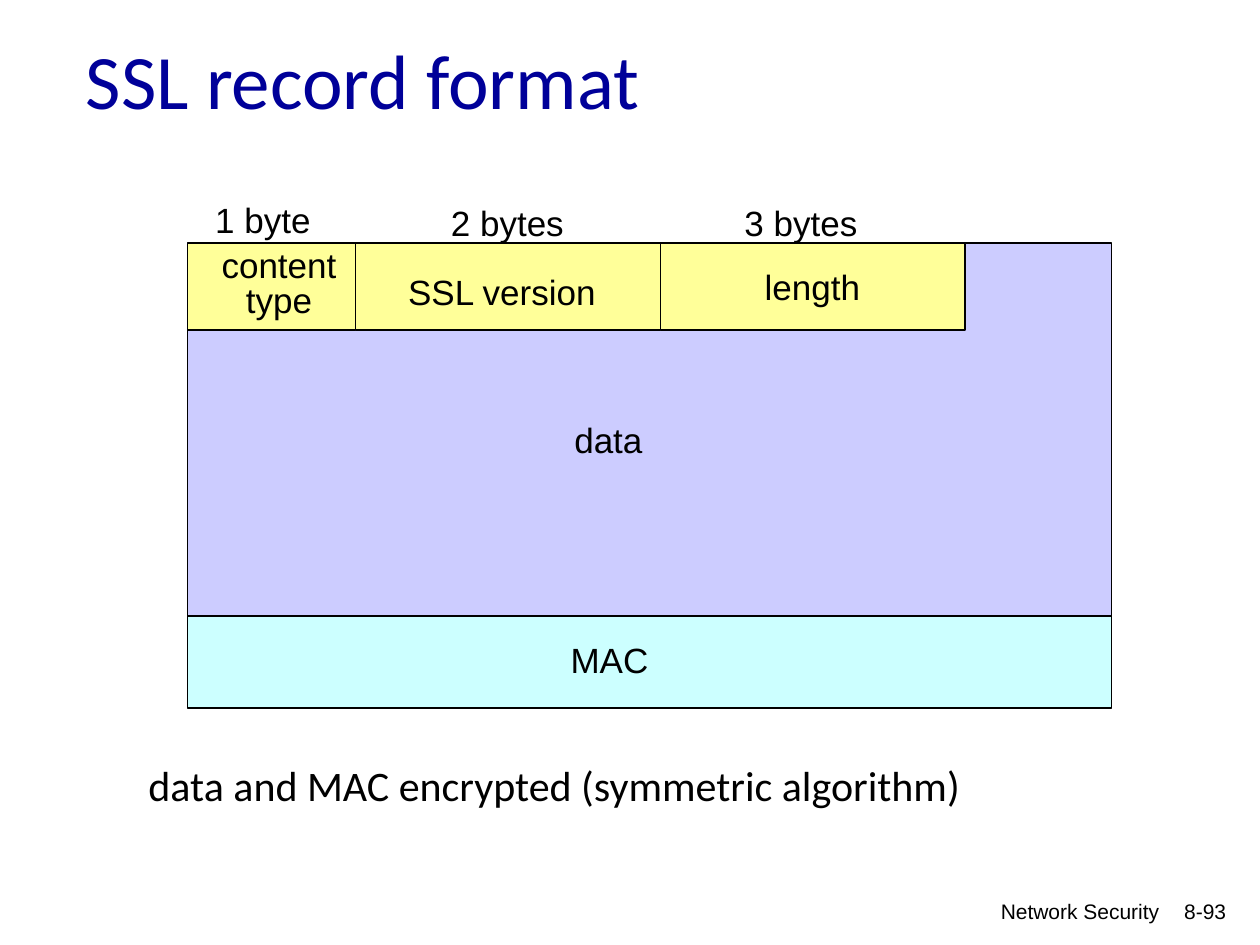
from dataclasses import dataclass

from pptx import Presentation
from pptx.dml.color import RGBColor
from pptx.enum.shapes import MSO_SHAPE
from pptx.enum.text import MSO_ANCHOR, MSO_AUTO_SIZE, PP_ALIGN
from pptx.util import Inches, Pt

RECT = MSO_SHAPE.RECTANGLE
MIDDLE = MSO_ANCHOR.MIDDLE
FIT_SHAPE = MSO_AUTO_SIZE.SHAPE_TO_FIT_TEXT
LEFT, CENTER, RIGHT = PP_ALIGN.LEFT, PP_ALIGN.CENTER, PP_ALIGN.RIGHT
TITLE_ONLY = 5


@dataclass(frozen=True)
class Theme:
    ink: str = "000000"
    title: str = "000099"
    header: str = "FFFF99"
    data: str = "CCCCFF"
    mac: str = "CCFFFF"
    heading_font: str = "Calibri"
    label_font: str = "Arial"
    title_size: int = 44
    note_size: int = 24
    label_size: int = 20
    footer_size: int = 12
    line_width: float = 0.75


def write_text(tf, text, *, font, size, color, align=LEFT, spacing=None):
    """Fill a text frame, one paragraph per line of text."""
    for i, line in enumerate(text.split("\n")):
        p = tf.paragraphs[0] if i == 0 else tf.add_paragraph()
        p.alignment = align
        if spacing:
            p.line_spacing = Pt(spacing)
        r = p.add_run()
        r.text = line
        r.font.name = font
        r.font.size = Pt(size)
        r.font.color.rgb = RGBColor.from_string(color)


class SlideBuilder:
    def __init__(self, slide, theme):
        self.slide = slide
        self.theme = theme
        self.diagram = slide.shapes.add_group_shape()

    def title(self, text, x, y, w, h):
        sp = self.slide.shapes.title
        sp.left, sp.top, sp.width, sp.height = map(Inches, (x, y, w, h))
        sp.text_frame.vertical_anchor = MIDDLE
        write_text(sp.text_frame, text, font=self.theme.heading_font,
                   size=self.theme.title_size, color=self.theme.title)

    def field(self, x, y, w, h, fill):
        sp = self.diagram.shapes.add_shape(RECT, *map(Inches, (x, y, w, h)))
        sp.shadow.inherit = False
        sp.fill.solid()
        sp.fill.fore_color.rgb = RGBColor.from_string(fill)
        sp.line.color.rgb = RGBColor.from_string(self.theme.ink)
        sp.line.width = Pt(self.theme.line_width)

    def label(self, text, x, y, w, h=0.44, **fmt):
        tf = self.text_box(self.diagram, text, x, y, w, h, wrap=False,
                           font=self.theme.label_font,
                           size=self.theme.label_size, **fmt)
        tf.auto_size = FIT_SHAPE

    def note(self, text, x, y, w, h):
        self.text_box(self.slide, text, x, y, w, h,
                      font=self.theme.heading_font, size=self.theme.note_size)

    def footer(self, text, x, y, w, h):
        self.text_box(self.slide, text, x, y, w, h, align=RIGHT,
                      font=self.theme.label_font, size=self.theme.footer_size)

    def text_box(self, parent, text, x, y, w, h, wrap=True, **fmt):
        tf = parent.shapes.add_textbox(*map(Inches, (x, y, w, h))).text_frame
        tf.word_wrap = wrap
        write_text(tf, text, color=self.theme.ink, **fmt)
        return tf


def main():
    prs = Presentation()
    prs.slide_width, prs.slide_height = Inches(10), Inches(7.5)
    theme = Theme()
    s = SlideBuilder(prs.slides.add_slide(prs.slide_layouts[TITLE_ONLY]), theme)

    s.title("SSL record format", 0.58, 0, 8.5, 1.25)

    left, top, record_width = 1.49, 1.93, 7.33
    s.field(left, top, record_width, 3.13, theme.data)
    x = left
    for width in (1.33, 2.42, 2.42):
        s.field(x, top, width, 0.69, theme.header)
        x += width
    s.field(left, 4.89, record_width, 0.73, theme.mac)

    s.label("content\ntype", 1.66, 1.94, 1.11, 0.66, align=CENTER, spacing=20)
    for text, x, y, width in (
        ("SSL version", 3.14, 2.1, 1.7),
        ("length", 5.97, 2.06, 0.96),
        ("MAC", 4.43, 5.02, 0.82),
        ("data", 4.46, 3.27, 0.74),
        ("1 byte", 1.61, 1.53, 0.98),
        ("2 bytes", 3.48, 1.55, 1.15),
        ("3 bytes", 5.81, 1.55, 1.15),
    ):
        s.label(text, x, y, width)

    s.note("data and MAC encrypted (symmetric algorithm)", 1.08, 5.98, 7.62, 0.5)
    s.footer("Network Security", 5.08, 7.08, 4.22, 0.34)
    s.footer("8-93", 9.09, 7.08, 0.74, 0.33)

    prs.save("out.pptx")


if __name__ == "__main__":
    main()
